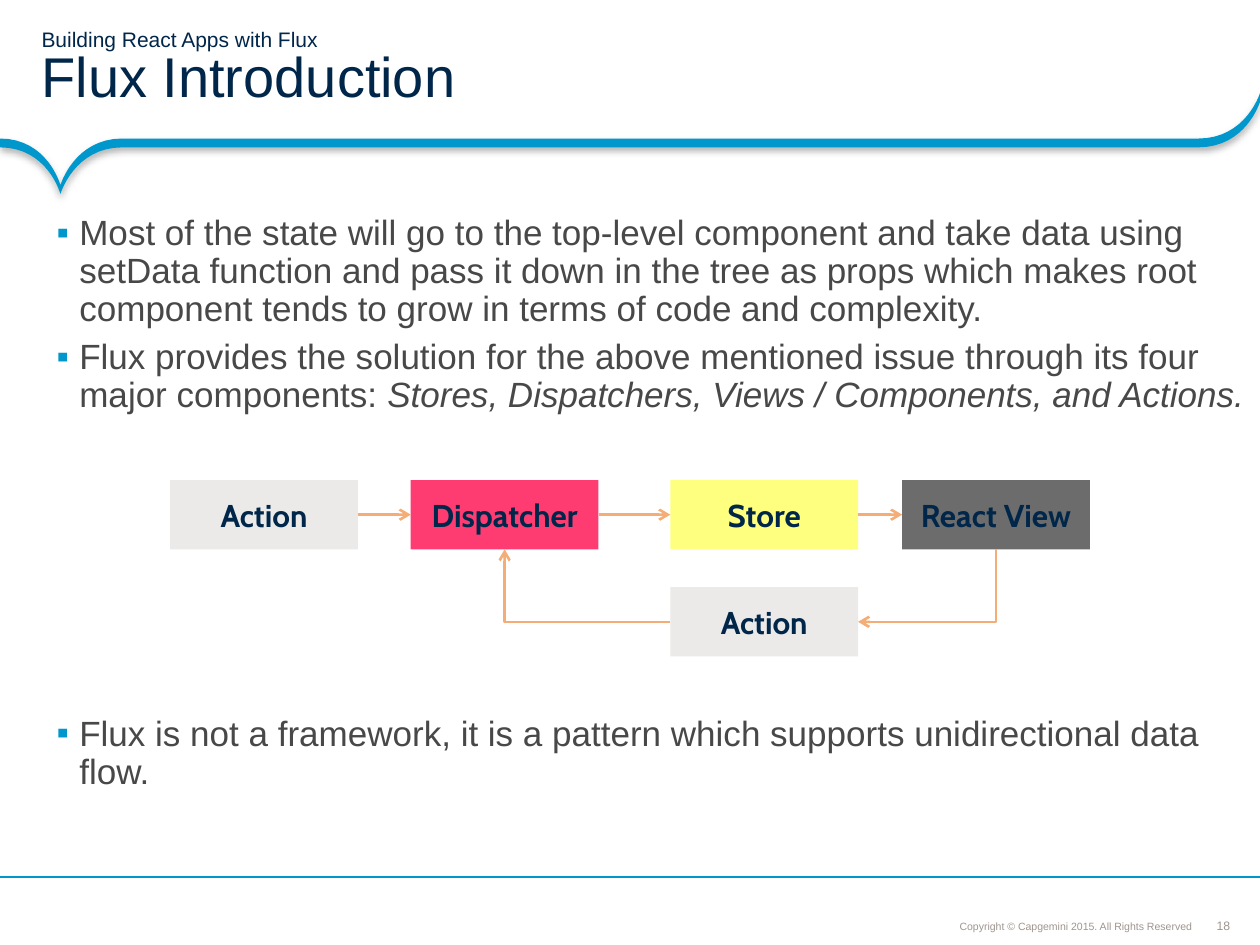
from lxml import etree
from pptx import Presentation
from pptx import util as u
from pptx.dml import color
from pptx.enum import shapes, text
from pptx.oxml import ns

NAVY, BLUE, GREY, TAUPE, PEACH = "00264A", "0098CC", "484848", "9F958F", "F4AD76"
PALE, PINK, LEMON, SLATE = "ECEAE9", "FE3C71", "FFFF7F", "6C6C6C"
CELL = u.Inches(0.1)
COLS, ROWS = 100, 75
BOX_W, BOX_H = 14.9, 5.5
TOP, LOW = 38.1, 46.6
FLOW = [("Action", 13.5, PALE), ("Dispatcher", 32.6, PINK),
        ("Store", 53.2, LEMON), ("React View", 71.6, SLATE)]
WAVE = [
    [(95.1, 11), (9.7, 11)],
    [(9.7, 11), (5.9, 11), (4.8, 14.7), (4.8, 14.7)],
    [(4.8, 14.7), (4.8, 14.7), (3.8, 11), (0, 11)],
    [(0, 11), (0, 11.7)],
    [(0, 11.7), (3.8, 11.7), (4.8, 15.4), (4.8, 15.4)],
    [(4.8, 15.4), (4.8, 15.4), (5.9, 11.7), (9.7, 11.7)],
    [(9.7, 11.7), (95.1, 11.7)],
    [(95.1, 11.7), (98.9, 11.7), (100, 8.1), (100, 8.1)],
    [(100, 8.1), (100, 7.4)],
    [(100, 7.4), (100, 7.4), (98.9, 11), (95.1, 11)],
]


def grid(*cells):
    """Turn grid cells into slide lengths."""
    return [u.Emu(round(c * CELL)) for c in cells]


def rgb(code):
    """Turn a hex string into a colour."""
    return color.RGBColor.from_string(code)


def sub(node, tag, **attrs):
    """Append a drawing element to a node."""
    return etree.SubElement(node, ns.qn("a:" + tag), attrs)


def style(font, size, code, name="Arial", bold=None):
    """Set the look of a font."""
    font.size, font.name, font.bold = u.Pt(size), name, bold
    font.color.rgb = rgb(code)


def frame(slide, area, pads, anchor, wrap=True):
    """Add a text box and return its frame."""
    body = slide.shapes.add_textbox(*grid(*area)).text_frame
    body.word_wrap, body.vertical_anchor = wrap, anchor
    (body.margin_left, body.margin_top,
     body.margin_right, body.margin_bottom) = grid(*pads)
    return body


def label(slide, words, area, pad, size, anchor, align, wrap=True):
    """Add a small footer text."""
    para = frame(slide, area, [pad] * 4, anchor, wrap).paragraphs[0]
    para.text, para.alignment, para.line_spacing = words, align, 0.9
    style(para.font, size, TAUPE)


def curve(points, steps=16):
    """List the points along a straight edge or a cubic curve."""
    if len(points) == 2:
        return points[1:]
    spots = []
    for n in range(1, steps + 1):
        t = n / steps
        mix = [(1 - t) ** 3, 3 * t * (1 - t) ** 2, 3 * t * t * (1 - t), t ** 3]
        spots.append(tuple(sum(m * p[k] for m, p in zip(mix, points))
                           for k in (0, 1)))
    return spots


def wave(slide):
    """Draw the blue header swoosh with its soft shadow."""
    spots = [grid(*p) for edge in WAVE for p in curve(edge)]
    form = slide.shapes.build_freeform(*grid(*WAVE[0][0]))
    form.add_line_segments(spots, close=True)
    shape = form.convert_to_shape()
    shape.fill.solid()
    shape.fill.fore_color.rgb = rgb(BLUE)
    shape.line.fill.background()
    shape.shadow.inherit = False
    glow = sub(shape.element.spPr.find(ns.qn("a:effectLst")), "outerShdw",
               blurRad=str(u.Pt(4)), dist=str(u.Pt(2)), dir="5400000",
               algn="t", rotWithShape="0")
    sub(sub(glow, "srgbClr", val="000000"), "alpha", val="31000")


def link(slide, start, end, code=PEACH, width=1.5, arrow=True, turn=None):
    """Add a straight line, or a one-bend connector turned by degrees."""
    kind = shapes.MSO_CONNECTOR
    wire = slide.shapes.add_connector(
        kind.STRAIGHT if turn is None else kind.ELBOW, *grid(*start, *end))
    wire.line.color.rgb, wire.line.width = rgb(code), u.Pt(width)
    props = wire.element.spPr
    if turn is not None:
        props.find(ns.qn("a:prstGeom")).set("prst", "bentConnector2")
        props.find(ns.qn("a:xfrm")).set("rot", str(turn * 60000))
    if arrow:
        sub(props.find(ns.qn("a:ln")), "tailEnd", type="arrow")
    sub(props, "effectLst")


def node(slide, words, left, top, code):
    """Add one box of the flow."""
    shape = slide.shapes.add_shape(shapes.MSO_SHAPE.RECTANGLE,
                                   *grid(left, top, BOX_W, BOX_H))
    shape.shadow.inherit = False
    shape.fill.solid()
    shape.fill.fore_color.rgb = rgb(code)
    shape.line.fill.background()
    body = shape.text_frame
    body.vertical_anchor = text.MSO_ANCHOR.MIDDLE
    para = body.paragraphs[0]
    para.text, para.alignment = words, text.PP_ALIGN.CENTER
    style(para.font, 18, NAVY, "Cabin", True)


def title(slide):
    """Add the two-line heading."""
    para = frame(slide, (0, 0, COLS, 11), (3.3, 0.4, 1.8, 0.4),
                 text.MSO_ANCHOR.MIDDLE).paragraphs[0]
    para.line_spacing = 0.85
    style(para.font, 12, NAVY)
    para.add_run().text = "Building React Apps with Flux"
    para.add_line_break()
    main_run = para.add_run()
    main_run.text, main_run.font.size = "Flux Introduction", u.Pt(32)


def point(para, words, slant="", before=0):
    """Fill a bulleted paragraph, with an optional italic ending."""
    props = para._p.get_or_add_pPr()
    hang = grid(1.8)[0]
    props.set("marL", str(hang))
    props.set("indent", str(-hang))
    sub(sub(props, "buClr"), "srgbClr", val=BLUE)
    sub(props, "buFont", typeface="Arial")
    sub(props, "buChar", char="▪")
    para.line_spacing, para.space_after = 0.9, u.Pt(6)
    if before:
        para.space_before = u.Pt(before)
    style(para.font, 20, GREY)
    para.add_run().text = words
    if slant:
        run = para.add_run()
        run.text, run.font.italic = slant, True


def points(slide):
    """Add the bulleted text above and below the flow."""
    body = frame(slide, (3.3, 16.3, 96.7, 50.8), (1.2, 0.8, 0.8, 0.8),
                 text.MSO_ANCHOR.TOP)
    point(body.paragraphs[0],
          "Most of the state will go to the top-level component and take data "
          "using setData function and pass it down in the tree as props which "
          "makes root component tends to grow in terms of code and complexity.")
    point(body.add_paragraph(),
          "Flux provides the solution for the above mentioned issue through "
          "its four major components: ",
          "Stores, Dispatchers, Views / Components, and Actions.")
    point(body.add_paragraph(),
          "Flux is not a framework, it is a pattern which supports "
          "unidirectional data flow.", before=166)


def flow(slide):
    """Draw the boxes and arrows of the data cycle."""
    for words, left, code in FLOW:
        node(slide, words, left, TOP, code)
    mid = TOP + BOX_H / 2
    for (_, left, _), (_, after, _) in zip(FLOW, FLOW[1:]):
        link(slide, (left + BOX_W, mid), (after, mid))
    back = FLOW[2][1]
    node(slide, "Action", back, LOW, PALE)
    base, foot = TOP + BOX_H, LOW + BOX_H / 2
    drop = foot - base
    view, hub = (FLOW[n][1] + BOX_W / 2 for n in (3, 1))
    run = view - back - BOX_W
    left, top = view - (run + drop) / 2, base + (drop - run) / 2
    link(slide, (left, top), (left + drop, top + run), turn=90)
    link(slide, (hub, base), (back, foot), turn=180)


def main():
    """Build and save the slide."""
    deck = Presentation()
    deck.slide_width, deck.slide_height = grid(COLS, ROWS)
    slide = deck.slides.add_slide(deck.slide_layouts[6])
    label(slide, "18", (96.5, 72.9, 1.2, 1.2), 0, 7,
          text.MSO_ANCHOR.MIDDLE, text.PP_ALIGN.CENTER, False)
    wave(slide)
    label(slide, "Copyright © Capgemini 2015. All Rights Reserved",
          (68.1, 72.4, 26.9, 2), 0.4, 6,
          text.MSO_ANCHOR.BOTTOM, text.PP_ALIGN.RIGHT)
    link(slide, (COLS, 69.6), (0, 69.6), BLUE, 0.75, False)
    title(slide)
    points(slide)
    flow(slide)
    deck.save("out.pptx")


if __name__ == "__main__":
    main()
